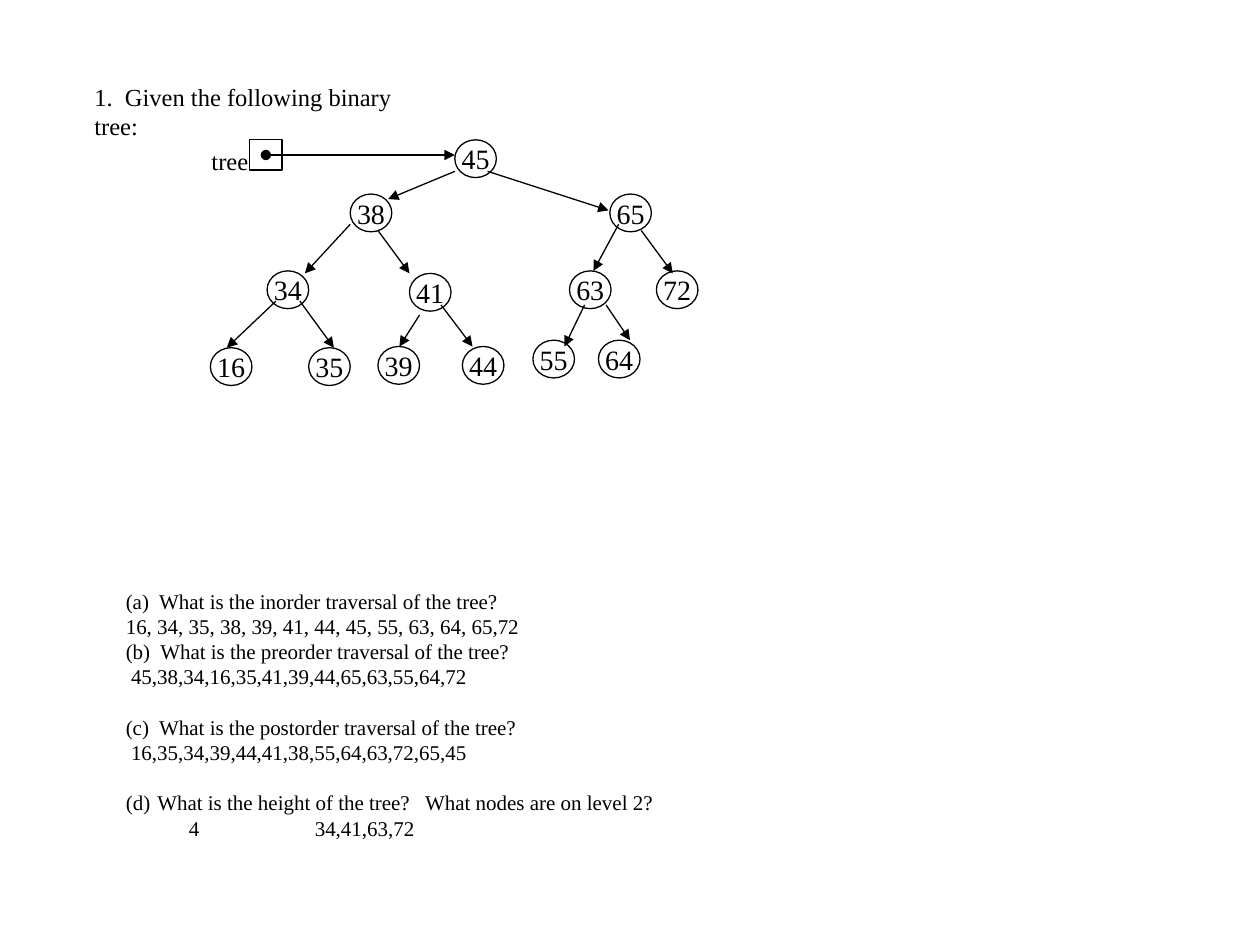
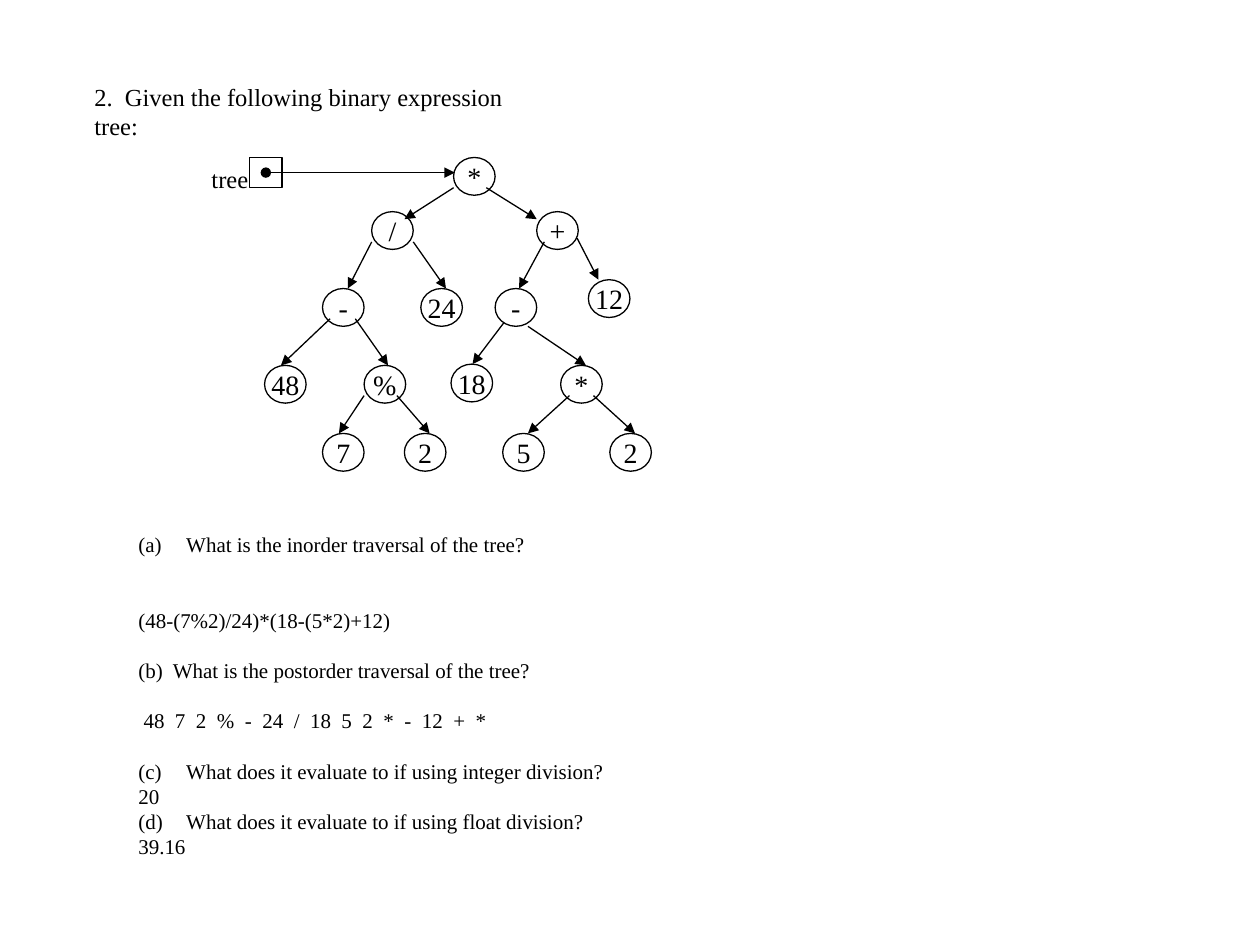
from dataclasses import dataclass

from lxml import etree
from pptx import Presentation
from pptx.dml.color import RGBColor
from pptx.enum.shapes import MSO_CONNECTOR, MSO_SHAPE
from pptx.enum.text import MSO_ANCHOR, PP_ALIGN
from pptx.oxml.ns import qn
from pptx.util import Inches, Pt

OVAL, RECTANGLE = MSO_SHAPE.OVAL, MSO_SHAPE.RECTANGLE
STRAIGHT = MSO_CONNECTOR.STRAIGHT
MIDDLE = MSO_ANCHOR.MIDDLE
LEFT, CENTER = PP_ALIGN.LEFT, PP_ALIGN.CENTER


@dataclass(frozen=True)
class Theme:
    ink: RGBColor = RGBColor(0, 0, 0)
    font: str = "Times New Roman"
    heading: int = 14
    body: int = 12
    node: int = 16
    leading: float = 1.2
    stroke: float = 0.75


THEME = Theme()
NODE_WIDTH, NODE_HEIGHT = 0.33, 0.3
NODE_FRAME = {
    "word_wrap": False, "vertical_anchor": MIDDLE,
    "margin_left": 0, "margin_right": 0, "margin_top": 0, "margin_bottom": 0,
}

SLIDES = [
    {
        "heading": "1.  Given the following binary tree:",
        "heading_width": 2.85,
        "tree_top": 1.11,
        "nodes": [
            ("45", 3.61, 1.11), ("38", 2.78, 1.54), ("65", 4.84, 1.54),
            ("34", 2.12, 2.15), ("41", 3.25, 2.17), ("63", 4.52, 2.15),
            ("72", 5.21, 2.15), ("16", 1.67, 2.76), ("35", 2.45, 2.76),
            ("39", 3, 2.75), ("44", 3.67, 2.75), ("55", 4.23, 2.7),
            ("64", 4.75, 2.7),
        ],
        "branches": [
            (3.61, 1.36, 3.08, 1.58), (3.87, 1.36, 4.83, 1.67),
            (2.78, 1.78, 2.42, 2.17), (3, 1.83, 3.25, 2.17),
            (4.91, 1.78, 4.71, 2.15), (5.09, 1.83, 5.34, 2.17),
            (2.19, 2.39, 1.8, 2.76), (2.38, 2.39, 2.65, 2.76),
            (3.33, 2.5, 3.17, 2.75), (3.5, 2.42, 3.75, 2.75),
            (4.64, 2.42, 4.48, 2.75), (4.81, 2.42, 5, 2.7),
        ],
        "questions_box": (0.9, 4.62, 4.45, 2.12),
        "questions": [
            {"text": "(a)  What is the inorder traversal of the tree?"},
            {"text": "16, 34, 35, 38, 39, 41, 44, 45, 55, 63, 64, 65,72"},
            {"text": "(b)  What is the preorder traversal of the tree?"},
            {"text": " 45,38,34,16,35,41,39,44,65,63,55,64,72"},
            {"text": "(c)  What is the postorder traversal of the tree?", "gap": 1},
            {"text": " 16,35,34,39,44,41,38,55,64,63,72,65,45"},
            {"text": "What is the height of the tree?   What nodes are on level 2?",
             "gap": 1, "number": 4, "indent": 0.25},
            {"text": "\t4\t\t34,41,63,72"},
        ],
    },
    {
        "heading": "2.  Given the following binary expression tree:",
        "heading_width": 3.75,
        "tree_top": 1.25,
        "nodes": [
            ("*", 3.6, 1.25), ("/", 2.95, 1.68), ("+", 4.26, 1.68),
            ("-", 2.56, 2.29), ("24", 3.34, 2.29), ("-", 3.93, 2.29),
            ("12", 4.67, 2.22), ("48", 2.1, 2.9), ("%", 2.89, 2.9),
            ("18", 3.58, 2.89), ("*", 4.45, 2.9), ("7", 2.56, 3.44),
            ("2", 3.21, 3.44), ("5", 3.99, 3.44), ("2", 4.84, 3.44),
        ],
        "branches": [
            (3.6, 1.49, 3.21, 1.74), (3.86, 1.49, 4.26, 1.74),
            (2.95, 1.92, 2.76, 2.29), (3.28, 1.92, 3.54, 2.29),
            (4.32, 1.92, 4.12, 2.29), (4.58, 1.89, 4.75, 2.22),
            (2.62, 2.53, 2.23, 2.9), (2.82, 2.53, 3.08, 2.9),
            (4, 2.56, 3.75, 2.89), (4.19, 2.59, 4.65, 2.9),
            (2.89, 3.14, 2.69, 3.44), (3.15, 3.14, 3.41, 3.44),
            (4.52, 3.14, 4.19, 3.44), (4.71, 3.14, 5.04, 3.44),
        ],
        "questions_box": (1, 4.17, 3.94, 3.33),
        "questions": [
            {"text": "What is the inorder traversal of the tree?",
             "number": 1, "indent": 0.38},
            {"text": "(48-(7%2)/24)*(18-(5*2)+12)", "gap": 2},
            {"text": "(b)  What is the postorder traversal of the tree?", "gap": 1},
            {"text": " 48  7  2  %  -  24  /  18  5  2  *  -  12  +  *", "gap": 1},
            {"text": "What does it evaluate to if using integer division?",
             "gap": 1, "number": 3, "indent": 0.38},
            {"text": "20"},
            {"text": "What does it evaluate to if using float division?",
             "number": 4, "indent": 0.38},
            {"text": "39.16"},
        ],
    },
]


def write_lines(frame, lines, size, alignment=LEFT):
    line_height = size * THEME.leading
    for index, line in enumerate(lines):
        paragraph = frame.add_paragraph() if index else frame.paragraphs[0]
        run = paragraph.add_run()
        run.text = line["text"]
        run.font.color.rgb = THEME.ink
        for name, value in {"name": THEME.font, "size": Pt(size)}.items():
            setattr(run.font, name, value)
        paragraph_format = {
            "alignment": alignment,
            "line_spacing": Pt(line_height),
            "space_before": Pt(line_height * line.get("gap", 0)),
        }
        for name, value in paragraph_format.items():
            setattr(paragraph, name, value)
        if "number" in line:
            properties = paragraph._p.get_or_add_pPr()
            properties.set("marL", str(Inches(line["indent"])))
            properties.set("indent", str(-Inches(line["indent"])))
            etree.SubElement(properties, qn("a:buAutoNum"),
                             type="alphaLcParenBoth", startAt=str(line["number"]))


def add_outline(slide, preset, left, top, width, height):
    shape = slide.shapes.add_shape(
        preset, Inches(left), Inches(top), Inches(width), Inches(height))
    shape.shadow.inherit = False
    shape.fill.background()
    shape.line.color.rgb = THEME.ink
    shape.line.width = Pt(THEME.stroke)
    return shape


presentation = Presentation()
presentation.slide_width = Inches(10)
presentation.slide_height = Inches(7.5)

for content in SLIDES:
    slide = presentation.slides.add_slide(presentation.slide_layouts[6])
    tree_top = content["tree_top"]

    text_boxes = [
        ((0.65, 0.6, content["heading_width"], 0.58),
         [{"text": content["heading"]}], THEME.heading),
        (content["questions_box"], content["questions"], THEME.body),
        ((1.58, tree_top, 0.55, 0.33), [{"text": "tree"}], THEME.heading),
    ]
    for box, lines, size in text_boxes:
        text_box = slide.shapes.add_textbox(*map(Inches, box))
        text_box.text_frame.word_wrap = True
        write_lines(text_box.text_frame, lines, size)

    add_outline(slide, RECTANGLE, 1.98, tree_top, 0.26, 0.24)

    for label, left, top in content["nodes"]:
        node = add_outline(slide, OVAL, left, top, NODE_WIDTH, NODE_HEIGHT)
        for name, value in NODE_FRAME.items():
            setattr(node.text_frame, name, value)
        write_lines(node.text_frame, [{"text": label}], THEME.node, CENTER)

    root_pointer = (2.11, tree_top + 0.12, 3.61, tree_top + 0.12)
    for ends in [root_pointer, *content["branches"]]:
        arrow = slide.shapes.add_connector(STRAIGHT, *map(Inches, ends))
        arrow.line.color.rgb = THEME.ink
        arrow.line.width = Pt(THEME.stroke)
        line_properties = arrow.line._get_or_add_ln()
        if ends == root_pointer:
            etree.SubElement(line_properties, qn("a:headEnd"), type="oval")
        etree.SubElement(line_properties, qn("a:tailEnd"), type="triangle")
        etree.SubElement(arrow._element.spPr, qn("a:effectLst"))

presentation.save("out.pptx")
